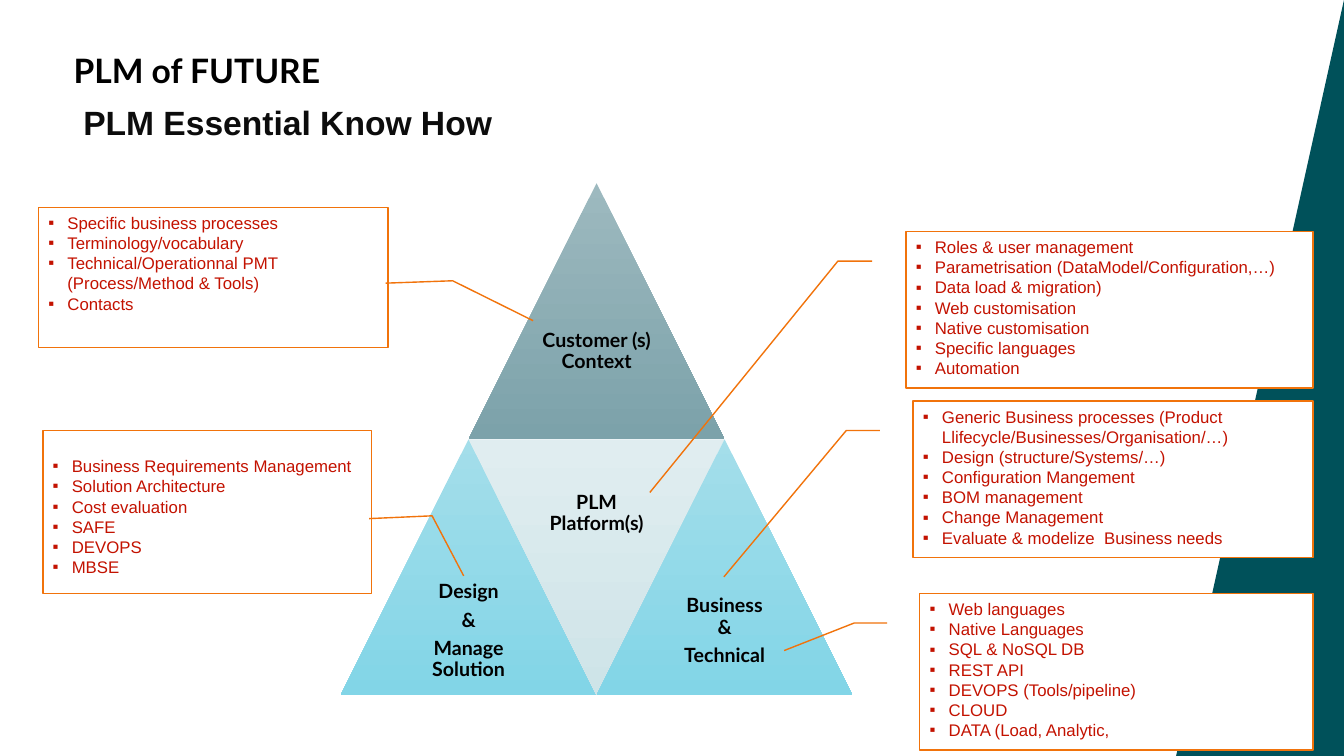
from pptx import Presentation
from pptx.dml.color import RGBColor
from pptx.enum.shapes import MSO_SHAPE
from pptx.enum.text import MSO_ANCHOR, MSO_AUTO_SIZE, PP_ALIGN
from pptx.oxml import parse_xml
from pptx.oxml.ns import nsdecls
from pptx.util import Cm, Pt

TRIANGLE, CALLOUT = MSO_SHAPE.ISOSCELES_TRIANGLE, MSO_SHAPE.LINE_CALLOUT_2
TOP, MIDDLE = MSO_ANCHOR.TOP, MSO_ANCHOR.MIDDLE
LEFT, CENTER = PP_ALIGN.LEFT, PP_ALIGN.CENTER
NO_FIT = MSO_AUTO_SIZE.NONE

COLORS = {
    "teal": "00515A", "title": "000000", "subtitle": "0C0C0C",
    "label": "000000", "list": "C31200", "line": "F1730B", "box": "FFFFFF",
    "grey_top": "9DB9BF", "grey_end": "7CA2AA",
    "blue_top": "A4DEEA", "blue_end": "82D5E7",
    "pale_top": "E0EDF0", "pale_end": "CEE4E8",
}
FONTS = {
    "title": {"name": "Lato", "size": Pt(24), "bold": True},
    "subtitle": {"name": "Arial", "size": Pt(24), "bold": True},
    "label": {"name": "Lato", "size": Pt(14), "bold": True},
    "list": {"name": "Arial", "size": Pt(12), "bold": False},
}
PARAGRAPHS = {
    "title": {"alignment": LEFT},
    "subtitle": {"alignment": LEFT},
    "label": {"alignment": CENTER, "line_spacing": 0.9, "space_after": Pt(5)},
    "list": {"alignment": LEFT, "line_spacing": Pt(14.4)},
}

SIDE, APEX_LEFT, APEX_TOP = 6.45, 11.81, 4.62
TRIANGLES = [
    (0, 0, 0, "grey", ["Customer (s) Context"], 0.15, 1.33),
    (-0.5, 1, 0, "blue", ["Design", "&", "Manage Solution"], 0.15, 0.15),
    (0, 1, 180, "pale", ["PLM Platform(s)"], 0.65, 0.15),
    (0.5, 1, 0, "blue", ["Business\v&", "Technical"], 0.15, 0.15),
]

RIGHT_EDGE, RIGHT_HEIGHT = 33.09, 3.94
ELBOW_RIGHT = (0.188, -0.083, 0.188, -0.167)
ELBOW_LEFT = (0.54, 0.993, 0.523, 1.185)
RIGHT_LISTS = [
    (22.83, 5.84, (1.668, -0.629),
     ["Roles & user management", "Parametrisation (DataModel/Configuration,…)",
      "Data load & migration)", "Web customisation", "Native customisation",
      "Specific languages", "Automation"]),
    (23.01, 10.11, (1.124, -0.473),
     ["Generic Business processes (Product Llifecycle/Businesses/Organisation/…)",
      "Design (structure/Systems/…)", "Configuration Mangement",
      "BOM management", "Change Management",
      "Evaluate & modelize  Business needs"]),
    (23.18, 14.96, (0.364, -0.345),
     ["Web languages", "Native Languages", "SQL & NoSQL DB", "REST API",
      "DEVOPS (Tools/pipeline)", "CLOUD", "DATA (Load, Analytic,"]),
]
LEFT_LISTS = [
    ((0.97, 5.23, 8.81, 3.53), (0.808, 1.415), 0.13,
     ["Specific business processes", "Terminology/vocabulary",
      "Technical/Operationnal PMT (Process/Method & Tools)", "Contacts"]),
    ((1.08, 10.85, 8.28, 4.11), (0.891, 1.281), 0.64,
     ["Business Requirements Management", "Solution Architecture",
      "Cost evaluation", "SAFE", "DEVOPS", "MBSE"]),
]


def apply(obj, values):
    """Set every attribute in a dict of format values."""
    for name, value in values.items():
        setattr(obj, name, value)


class SlideBuilder:
    """Hold the style and the current slide, and add its elements."""

    def __init__(self, slide):
        """Keep the slide that receives the elements."""
        self.slide = slide

    def color(self, name):
        """Return a named colour."""
        return RGBColor.from_string(COLORS[name])

    def place(self, box):
        """Return a box given in centimetres as lengths."""
        return [Cm(v) for v in box]

    def fill_text(self, tf, lines, style, **frame):
        """Fill a text frame with one paragraph per line."""
        apply(tf, {"word_wrap": True, "auto_size": NO_FIT, **frame})
        for i, line in enumerate(lines):
            p = tf.add_paragraph() if i else tf.paragraphs[0]
            p.text = line
            apply(p, PARAGRAPHS[style])
            for r in p.runs:
                apply(r.font, FONTS[style])
                r.font.color.rgb = self.color(style)

    def title(self, text, box):
        """Fill and move the title placeholder."""
        sp = self.slide.shapes.title
        apply(sp, dict(zip(("left", "top", "width", "height"), self.place(box))))
        self.fill_text(sp.text_frame, [text], "title", vertical_anchor=TOP)

    def text(self, lines, box, style, **frame):
        """Add a text box."""
        sp = self.slide.shapes.add_textbox(*self.place(box))
        self.fill_text(sp.text_frame, lines, style, **frame)

    def band(self, points):
        """Add a filled outline without a border."""
        points = [self.place(pt) for pt in points]
        builder = self.slide.shapes.build_freeform(*points[0])
        builder.add_line_segments(points[1:])
        sp = builder.convert_to_shape()
        sp.shadow.inherit = False
        sp.fill.solid()
        sp.fill.fore_color.rgb = self.color("teal")
        sp.line.fill.background()

    def triangle(self, box, rotation, tone):
        """Add a triangle shaded from top to bottom."""
        sp = self.slide.shapes.add_shape(TRIANGLE, *self.place(box))
        sp.shadow.inherit = False
        sp.rotation = rotation
        sp.line.fill.background()
        sp.fill.gradient()
        sp.fill.gradient_angle = 270
        for stop, end in zip(sp.fill.gradient_stops, ("top", "end")):
            stop.color.rgb = self.color(f"{tone}_{end}")
        sp._element.spPr.find("{*}gradFill").set("rotWithShape", "0")

    def callout(self, lines, box, adjustments, margin_top=0.13):
        """Add a bulleted box with a bent leader line."""
        sp = self.slide.shapes.add_shape(CALLOUT, *self.place(box))
        sp.shadow.inherit = False
        for i, value in enumerate(adjustments):
            sp.adjustments[i] = value
        sp.fill.solid()
        sp.fill.fore_color.rgb = self.color("box")
        sp.line.color.rgb = self.color("line")
        sp.line.width = Pt(1)
        self.fill_text(sp.text_frame, lines, "list", vertical_anchor=TOP,
                       margin_top=Cm(margin_top))
        for p in sp.text_frame.paragraphs:
            pPr = p._p.get_or_add_pPr()
            pPr.set("marL", str(Cm(0.48)))
            pPr.set("indent", str(-Cm(0.48)))
            pPr.append(parse_xml(f'<a:buFont {nsdecls("a")} typeface="Arial"/>'))
            pPr.append(parse_xml(f'<a:buChar {nsdecls("a")} char="▪"/>'))


def main():
    """Build the slide and save it."""
    prs = Presentation()
    prs.slide_width, prs.slide_height = Cm(33.87), Cm(19.05)
    s = SlideBuilder(prs.slides.add_slide(prs.slide_layouts[5]))
    s.band([(29.64, 19.05), (33.87, 0), (33.87, 19.05)])
    s.title("PLM of FUTURE", (1.6, 1.14, 28.55, 1.98))
    s.text(["PLM Essential Know How"], (1.85, 2.44, 30.84, 1.27), "subtitle")

    for col, row, rotation, tone, lines, top_inset, bottom_inset in TRIANGLES:
        left, top = APEX_LEFT + col * SIDE, APEX_TOP + row * SIDE
        s.triangle((left, top, SIDE, SIDE), rotation, tone)
        label_top = top if rotation else top + SIDE / 2
        s.text(lines, (left + SIDE / 4, label_top, SIDE / 2, SIDE / 2), "label",
               vertical_anchor=MIDDLE, margin_left=Cm(0.15), margin_right=Cm(0.15),
               margin_top=Cm(top_inset), margin_bottom=Cm(bottom_inset))

    for left, top, target, lines in RIGHT_LISTS:
        box = (left, top, RIGHT_EDGE - left, RIGHT_HEIGHT)
        s.callout(lines, box, ELBOW_RIGHT + target)
    for box, target, margin_top, lines in LEFT_LISTS:
        s.callout(lines, box, ELBOW_LEFT + target, margin_top)
    prs.save("out.pptx")


if __name__ == "__main__":
    main()
